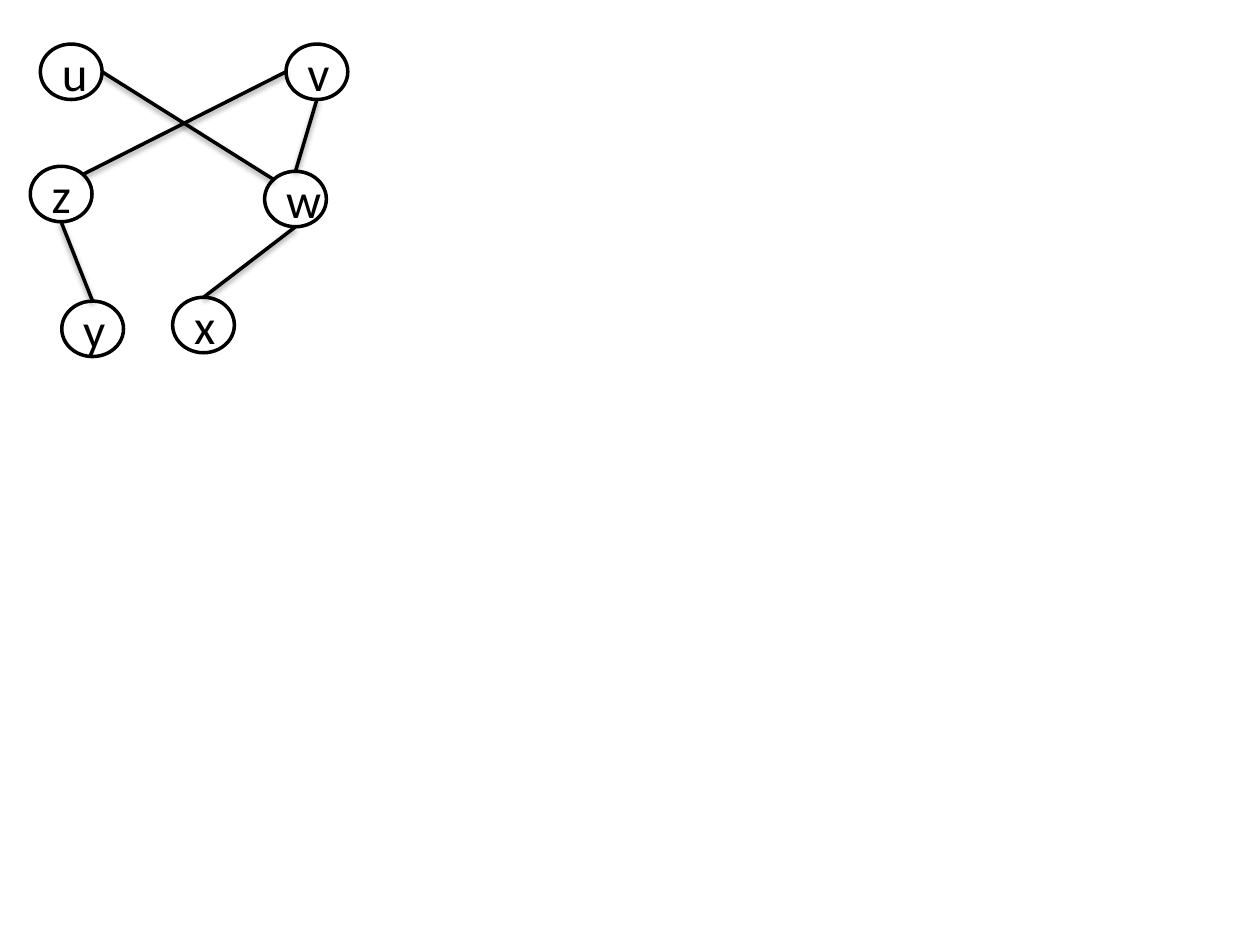
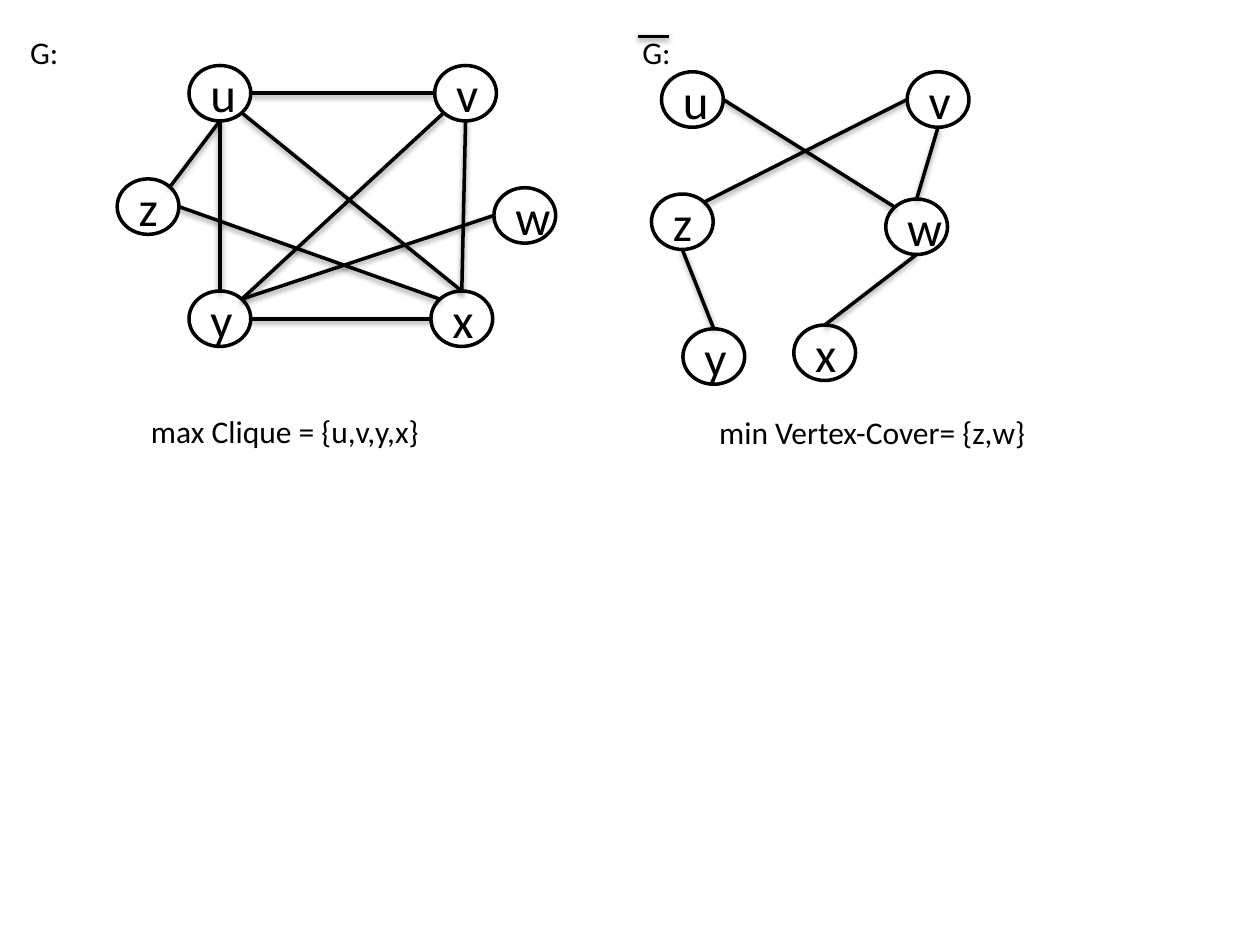
"""Draw a graph, its complement, and the clique and cover they share."""
import math
import pptx
import pptx.util
import pptx.oxml
import pptx.dml.color
import pptx.enum.shapes
import pptx.enum.text

Inches, Pt = pptx.util.Inches, pptx.util.Pt

INK, PAPER = "000000", "FFFFFF"
WIDE, HIGH = 0.49, 0.44
NODE = {"name": "Calibri", "size": Pt(28)}
LABEL = {"name": "Calibri", "size": Pt(18)}
FRAME = {"word_wrap": True, "auto_size": pptx.enum.text.MSO_AUTO_SIZE.SHAPE_TO_FIT_TEXT}
ANGLES = {"right": 0, "low": 90, "left": 180, "top left": 225,
          "top": 270, "top right": 315, "low right": 45, "low left": 135}
SHADOW = (
    '<a:effectLst xmlns:a="http://schemas.openxmlformats.org/drawingml/2006/main">'
    '<a:outerShdw blurRad="40000" dist="20000" dir="5400000" rotWithShape="0">'
    '<a:srgbClr val="%s"><a:alpha val="38000"/></a:srgbClr>'
    '</a:outerShdw></a:effectLst>' % INK)

SPARSE = {
    "nodes": {"u": (0.32, 0.35), "v": (2.27, 0.35), "w": (2.1, 1.36),
              "z": (0.24, 1.32), "x": (1.37, 2.36), "y": (0.49, 2.39)},
    "edges": [("u", "right", "w", "top left"), ("z", "top right", "v", "left"),
              ("v", "low", "w", "top"), ("x", "top", "w", "low"),
              ("y", "top", "z", "low")],
}
DENSE = {
    "nodes": {"u": (1.5, 0.52), "v": (3.45, 0.52), "w": (3.92, 1.49),
              "z": (0.93, 1.42), "x": (3.42, 2.31), "y": (1.5, 2.31)},
    "edges": [("x", "top left", "z", "right"), ("y", "top", "u", "low"),
              ("v", "left", "u", "right"), ("v", "low", "x", "top"),
              ("y", "right", "x", "left"), ("w", "left", "y", "top right"),
              ("x", "top", "u", "low right"), ("y", "top right", "v", "low left"),
              ("z", "top right", "u", "low")],
}
BAR = ((5.31, 0.29), (5.06, 0.29))
PAGES = [
    {"graphs": [(SPARSE, 0, 0)], "labels": [], "bars": []},
    {"graphs": [(SPARSE, 4.93, 0.22), (DENSE, 0, 0)],
     "labels": [("G:", 0.14, 0.21, 0.96), ("G:", 5, 0.21, 0.96),
                ("max Clique = {u,v,y,x}", 1.1, 3.22, 2.84),
                ("min Vertex-Cover= {z,w}", 5.61, 3.23, 3.53)],
     "bars": [BAR]},
]


def color(code):
    return pptx.dml.color.RGBColor.from_string(code)


def apply(target, values):
    for key, value in values.items():
        setattr(target, key, value)


def write(frame, text, style):
    run = frame.paragraphs[0].add_run()
    run.text = text
    apply(run.font, style)
    run.font.color.rgb = color(INK)


def stroke(shape):
    shape.line.color.rgb = color(INK)
    shape.line.width = Pt(2)


def link(slide, start, end):
    line = slide.shapes.add_connector(
        pptx.enum.shapes.MSO_CONNECTOR.STRAIGHT, *map(Inches, start + end))
    stroke(line)
    line._element.spPr.append(pptx.oxml.parse_xml(SHADOW))


def circle(slide, name, left, top):
    shape = slide.shapes.add_shape(
        pptx.enum.shapes.MSO_SHAPE.OVAL, *map(Inches, (left, top, WIDE, HIGH)))
    shape.shadow.inherit = False
    shape.fill.solid()
    shape.fill.fore_color.rgb = color(PAPER)
    stroke(shape)
    frame = shape.text_frame
    frame.vertical_anchor = pptx.enum.text.MSO_ANCHOR.MIDDLE
    frame.paragraphs[0].alignment = pptx.enum.text.PP_ALIGN.CENTER
    write(frame, name, NODE)


def rim(spot, side):
    turn = math.radians(ANGLES[side])
    return (spot[0] + WIDE / 2 * (1 + math.cos(turn)),
            spot[1] + HIGH / 2 * (1 + math.sin(turn)))


def graph(slide, data, right, down):
    spots = {name: (x + right, y + down) for name, (x, y) in data["nodes"].items()}
    for name, spot in spots.items():
        circle(slide, name, *spot)
    for one, side, two, other in data["edges"]:
        link(slide, rim(spots[one], side), rim(spots[two], other))


def label(slide, text, left, top, width):
    box = slide.shapes.add_textbox(*map(Inches, (left, top, width, 0.4)))
    apply(box.text_frame, FRAME)
    write(box.text_frame, text, LABEL)


deck = pptx.Presentation()
apply(deck, {"slide_width": Inches(10), "slide_height": Inches(7.5)})
for page in PAGES:
    slide = deck.slides.add_slide(deck.slide_layouts[6])
    for item in page["graphs"]:
        graph(slide, *item)
    for item in page["labels"]:
        label(slide, *item)
    for item in page["bars"]:
        link(slide, *item)
deck.save("out.pptx")
